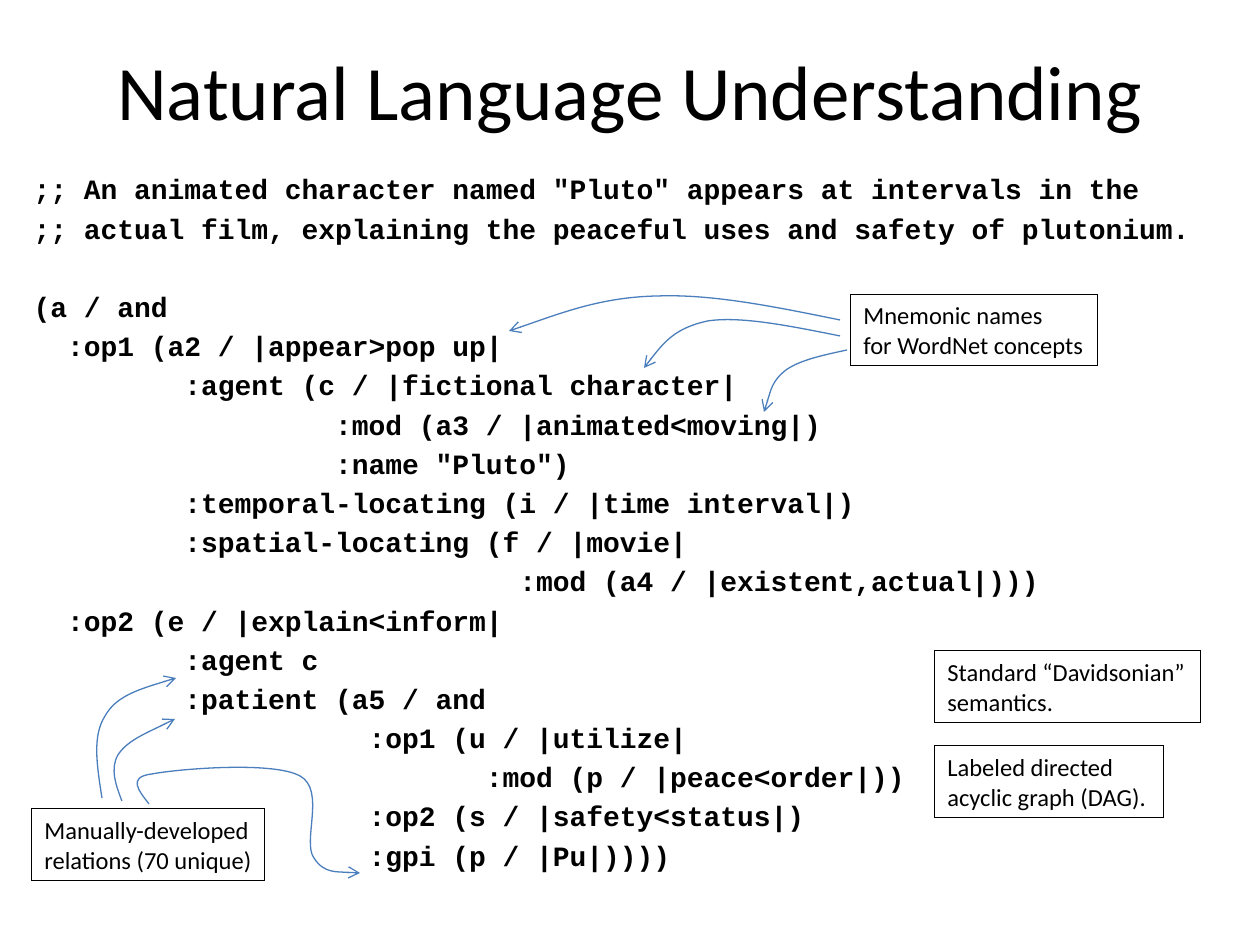
from pptx import Presentation
from pptx.dml.color import RGBColor
from pptx.enum.text import MSO_ANCHOR, MSO_AUTO_SIZE, PP_ALIGN
from pptx.oxml.ns import qn
from pptx.util import Emu, Pt
from lxml.etree import SubElement

PX = 914400 / 126
COLORS = {"text": "000000", "border": "000000", "arrow": "4B7EBC"}

TITLE = "Natural Language Understanding"
COMMENT = [
    ';; An animated character named "Pluto" appears at intervals in the',
    ";; actual film, explaining the peaceful uses and safety of plutonium.",
]
GRAPH = [
    "(a / and",
    "  :op1 (a2 / |appear>pop up|",
    "         :agent (c / |fictional character|",
    "                  :mod (a3 / |animated<moving|)",
    '                  :name "Pluto")',
    "         :temporal-locating (i / |time interval|)",
    "         :spatial-locating (f / |movie|",
    "                             :mod (a4 / |existent,actual|)))",
    "  :op2 (e / |explain<inform|",
    "         :agent c",
    "         :patient (a5 / and",
    "                    :op1 (u / |utilize|",
    "                           :mod (p / |peace<order|))",
    "                    :op2 (s / |safety<status|)",
    "                    :gpi (p / |Pu|))))",
]
# left, top, width, lines
CALLOUT_HEIGHT = 72
CALLOUTS = [
    (851, 294, 247, ["Mnemonic names", "for WordNet concepts"]),
    (32, 809, 233, ["Manually-developed", "relations (70 unique)"]),
    (935, 651, 266, ["Standard “Davidsonian”", "semantics."]),
    (935, 746, 229, ["Labeled directed", "acyclic graph (DAG)."]),
]
# start point, then three Bézier points for each curve segment
ARROWS = [
    [(840, 320), (776, 307), (713, 294), (658, 296), (602, 297), (556, 315), (509, 331)],
    [(840, 336), (790, 326), (741, 316), (708, 321), (675, 328), (659, 348), (644, 368)],
    [(847, 350), (824, 355), (800, 360), (786, 370), (772, 381), (769, 397), (764, 412)],
    [(102, 798), (97, 766), (92, 736), (105, 716), (116, 696), (146, 687), (176, 678)],
    [(122, 801), (116, 785), (110, 769), (118, 755), (127, 741), (151, 731), (175, 719)],
    [(149, 804), (139, 791), (127, 777), (152, 774), (178, 769), (273, 761), (300, 776),
     (326, 790), (302, 842), (314, 858), (324, 874), (360, 873), (360, 873)],
]


def px(length):
    return Emu(round(length * PX))


def place(shape, left, top, width, height):
    shape.left, shape.top, shape.width, shape.height = map(px, (left, top, width, height))


def style(paragraph, face, size, bold=False):
    font = paragraph.font
    font.name, font.size, font.bold = face, Pt(size), bold
    font.color.rgb = RGBColor.from_string(COLORS["text"])


def set_line_color(shape, color):
    shape.line.color.rgb = RGBColor.from_string(COLORS[color])


def add_title(slide):
    title = slide.shapes.title
    place(title, 63, 11, 1134, 158)
    title.text_frame.text = TITLE
    title.text_frame.vertical_anchor = MSO_ANCHOR.MIDDLE
    heading = title.text_frame.paragraphs[0]
    heading.alignment = PP_ALIGN.CENTER
    style(heading, "Calibri", 44)


def add_code(slide):
    body = slide.placeholders[1]
    place(body, 21, 126, 1197, 703)
    frame = body.text_frame
    frame.auto_size = MSO_AUTO_SIZE.NONE
    frame.margin_top = px(46)
    frame.text = "\n".join(COMMENT + GRAPH)
    for number, paragraph in enumerate(frame.paragraphs):
        props = paragraph._p.get_or_add_pPr()
        props.set("marL", str(px(47)))
        props.set("indent", str(px(-47)))
        SubElement(props, qn("a:buNone"))
        gap = {0: 0, len(COMMENT): 25.6}.get(number, 3.2)
        paragraph.space_before = Pt(gap)
        style(paragraph, "Courier New", 16, bold=True)


def add_callout(slide, left, top, width, lines):
    box = slide.shapes.add_textbox(*map(px, (left, top, width, CALLOUT_HEIGHT)))
    set_line_color(box, "border")
    frame = box.text_frame
    frame.text = "\n".join(lines)
    frame.word_wrap = False
    frame.auto_size = MSO_AUTO_SIZE.SHAPE_TO_FIT_TEXT
    for paragraph in frame.paragraphs:
        style(paragraph, "Calibri", 14)


def add_curved_arrow(slide, points):
    """Build an open outline, then group its segments in threes as Bézier curves."""
    builder = slide.shapes.build_freeform(*points[0], scale=PX)
    builder.add_line_segments(points[1:], close=False)
    curve = builder.convert_to_shape()
    curve.shadow.inherit = False
    curve.fill.background()
    set_line_color(curve, "arrow")
    curve.line.width = Pt(0.75)
    SubElement(curve.line._get_or_add_ln(), qn("a:tailEnd"), type="arrow")

    outline = next(curve._element.iter(qn("a:path")))
    segments = outline.findall(qn("a:lnTo"))
    for start in range(0, len(segments), 3):
        bezier = SubElement(outline, qn("a:cubicBezTo"))
        for segment in segments[start:start + 3]:
            bezier.append(segment[0])
            outline.remove(segment)


def main():
    deck = Presentation()
    deck.slide_width, deck.slide_height = px(1260), px(945)
    slide = deck.slides.add_slide(deck.slide_layouts[1])
    add_title(slide)
    add_code(slide)
    for callout in CALLOUTS:
        add_callout(slide, *callout)
    for points in ARROWS:
        add_curved_arrow(slide, points)
    deck.save("out.pptx")


if __name__ == "__main__":
    main()
